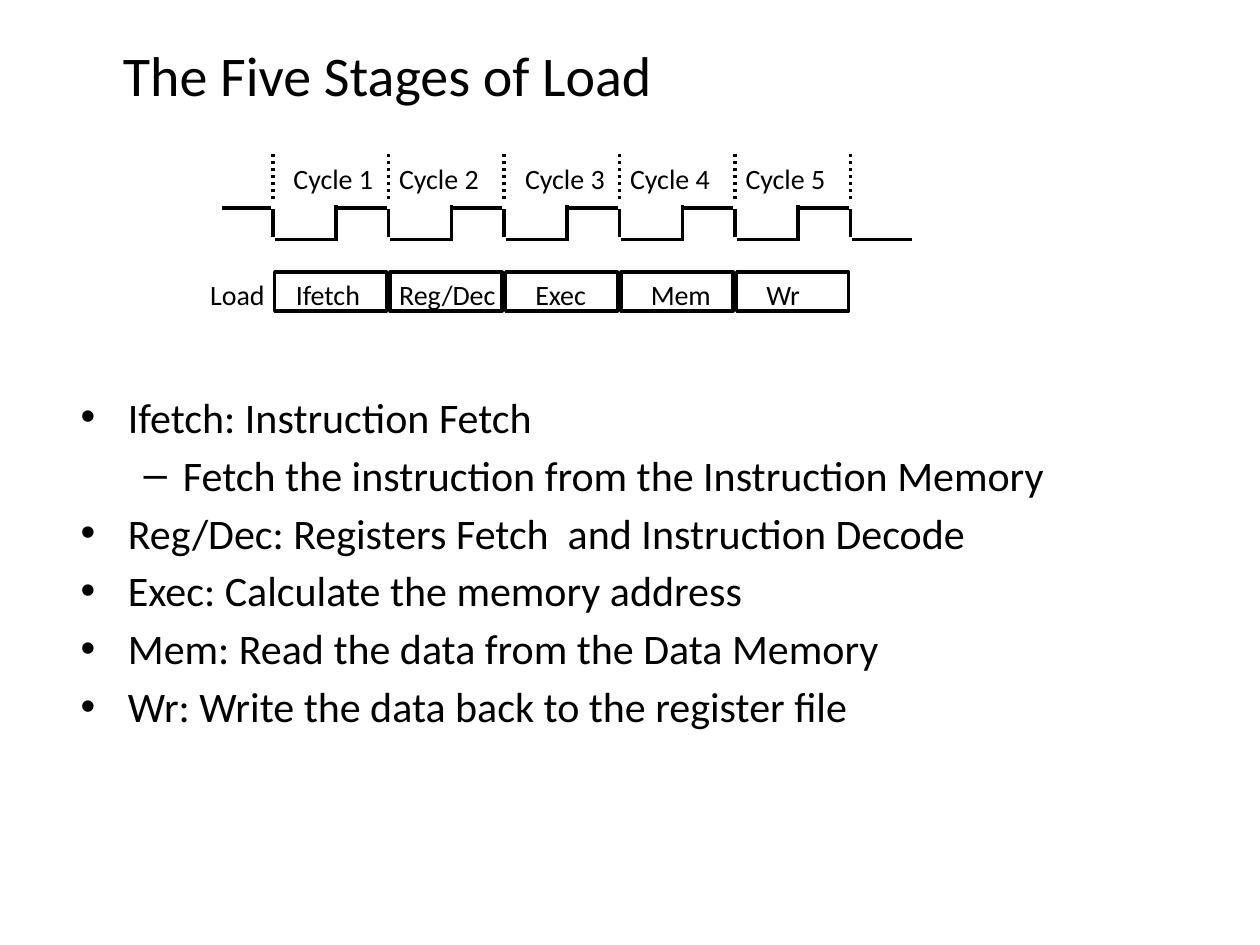
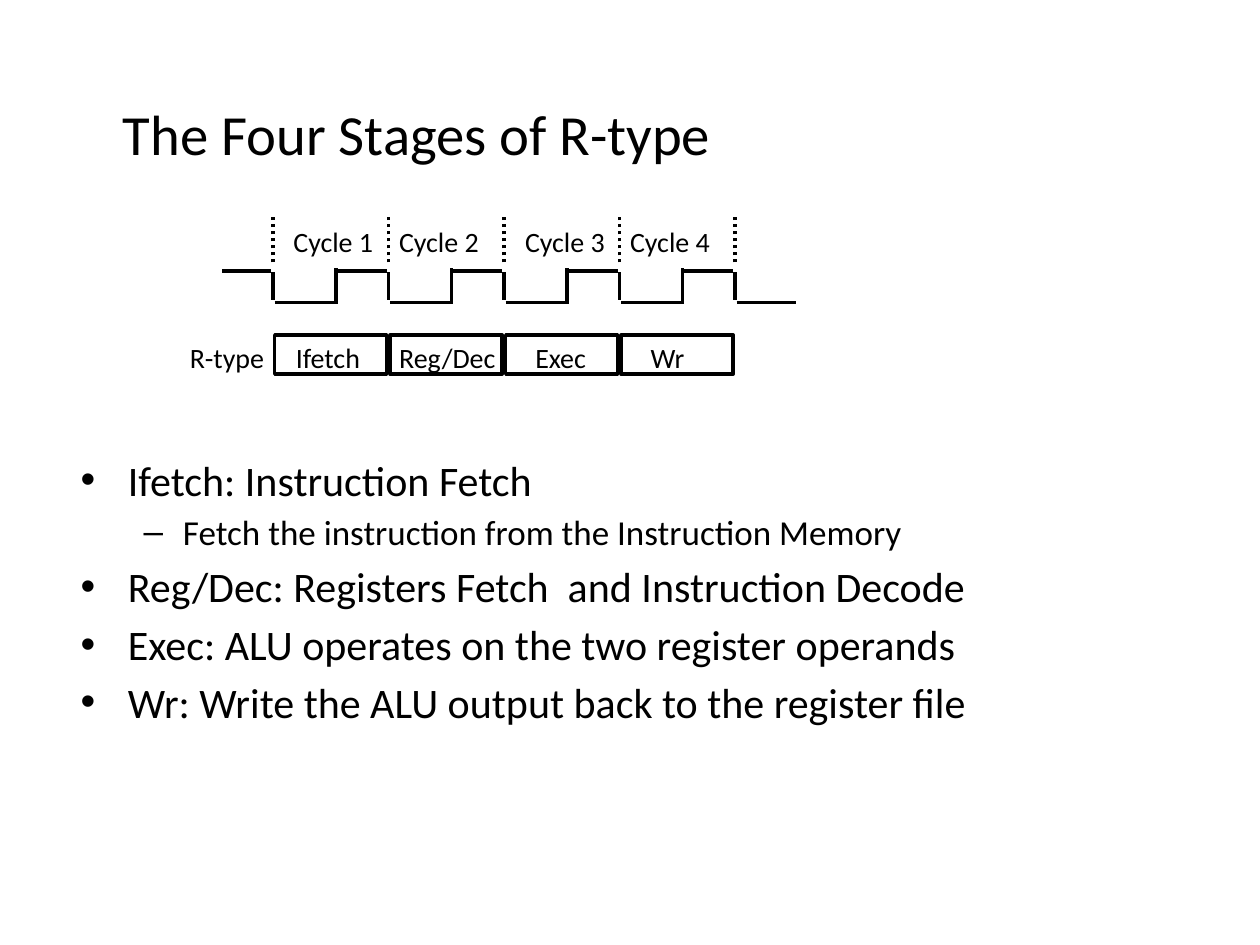
from lxml import etree
from pptx import Presentation
from pptx.dml.color import RGBColor
from pptx.enum.dml import MSO_LINE
from pptx.enum.shapes import MSO_CONNECTOR, MSO_SHAPE
from pptx.enum.text import MSO_ANCHOR, MSO_AUTO_SIZE, PP_ALIGN
from pptx.oxml.ns import qn
from pptx.util import Pt

STRAIGHT = MSO_CONNECTOR.STRAIGHT
RECT = MSO_SHAPE.RECTANGLE
DOTTED = MSO_LINE.ROUND_DOT
MIDDLE = MSO_ANCHOR.MIDDLE
JUSTIFY = PP_ALIGN.JUSTIFY
NO_FIT = MSO_AUTO_SIZE.NONE
FIT_SHAPE = MSO_AUTO_SIZE.SHAPE_TO_FIT_TEXT

FONT = "Calibri"
BLACK = "000000"
LINE_WIDTH = 2
LABEL_SIZE = 16

FIRST_EDGE = 156
PERIOD = 66
CYCLE_WIDTH = 60.5
CYCLE_SHIFTS = [4.6, -1, 5, -1, -1]
# Stage name: label offset from the clock edge, label width
STAGES = {
    "Ifetch": (6, 51.8),
    "Reg/Dec": (-1, 71.3),
    "Exec": (10.8, 43.9),
    "Mem": (10.8, 49.7),
    "Wr": (10.8, 33.8),
}
# Bullet level: character, left margin, hanging indent
BULLETS = [("•", 27, 27), ("–", 58.5, 22.5)]


def color(hex_string):
    return RGBColor.from_string(hex_string)


def add_run(p, text, size):
    r = p.add_run()
    r.text = text
    r.font.name = FONT
    r.font.size = Pt(size)
    r.font.color.rgb = color(BLACK)


def add_title(s, text, top, height, size):
    title = s.shapes.title
    title.left, title.top = Pt(63), Pt(top)
    title.width, title.height = Pt(621), Pt(height)
    tf = title.text_frame
    tf.auto_size = NO_FIT
    tf.vertical_anchor = MIDDLE
    p = tf.paragraphs[0]
    p.alignment = JUSTIFY
    add_run(p, text, size)


def add_label(s, text, x, y, width):
    box = s.shapes.add_textbox(Pt(x), Pt(y), Pt(width), Pt(26.6))
    tf = box.text_frame
    tf.word_wrap = False
    tf.auto_size = FIT_SHAPE
    add_run(tf.paragraphs[0], text, LABEL_SIZE)


def add_line(shapes, x1, y1, x2, y2, dash=None):
    line = shapes.add_connector(STRAIGHT, Pt(x1), Pt(y1), Pt(x2), Pt(y2))
    line.line.color.rgb = color(BLACK)
    line.line.width = Pt(LINE_WIDTH)
    if dash:
        line.line.dash_style = dash
    sp_pr = line._element.find(qn("p:spPr"))
    etree.SubElement(sp_pr, qn("a:effectLst"))


def add_stage_box(s, x, y):
    sp = s.shapes.add_shape(RECT, Pt(x), Pt(y), Pt(64), Pt(22.3))
    sp.shadow.inherit = False
    sp.fill.background()
    sp.line.color.rgb = color(BLACK)
    sp.line.width = Pt(LINE_WIDTH)


def add_fall(shapes, x, top):
    """Draw the falling clock edge and the low level after it."""
    add_line(shapes, x + 1, top + 48.8, x + 35, top + 48.8)
    add_line(shapes, x, top + 31.5, x, top + 47.4)


def add_high(shapes, x, top):
    """Draw the high level that ends the cycle starting at x."""
    add_line(shapes, x + 37, top + 30.8, x + 65, top + 30.8)


def add_clock(s, cycles, top):
    edges = [FIRST_EDGE + PERIOD * i for i in range(cycles + 1)]
    add_high(s.shapes, FIRST_EDGE - PERIOD, top)
    for x in edges[:-1]:
        shapes = s.shapes.add_group_shape().shapes
        add_fall(shapes, x, top)
        add_line(shapes, x + 36, top + 49.5, x + 36, top + 29.4)
        add_high(shapes, x, top)
    add_fall(s.shapes, edges[-1], top)
    for x in edges:
        add_line(s.shapes, x, top + 26, x, top, DOTTED)
    for i, x in enumerate(edges[:-1]):
        add_label(s, f"Cycle {i + 1}", x + CYCLE_SHIFTS[i], top + 0.6, CYCLE_WIDTH)


def add_pipeline(s, instruction, width, stages, top):
    """Draw the row of stage boxes with the instruction name before it."""
    for i, stage in enumerate(stages):
        x = FIRST_EDGE + PERIOD * i
        shift, label_width = STAGES[stage]
        add_stage_box(s, x + 1, top + 67.5)
        add_label(s, stage, x + shift, top + 66.8, label_width)
    add_label(s, instruction, 159 - width, top + 66.8, width)


def add_bullets(s, items, top, height):
    """Add a bulleted list; each item is (level, size, text)."""
    box = s.shapes.add_textbox(Pt(39), Pt(top), Pt(645), Pt(height))
    tf = box.text_frame
    tf.word_wrap = True
    for i, (level, size, text) in enumerate(items):
        p = tf.add_paragraph() if i else tf.paragraphs[0]
        p.level = level
        if i:
            p.space_before = Pt(round(size * 0.18, 1))
        char, margin, hanging = BULLETS[level]
        p_pr = p._p.get_or_add_pPr()
        p_pr.set("marL", str(Pt(margin)))
        p_pr.set("indent", str(-Pt(hanging)))
        etree.SubElement(p_pr, qn("a:buFont"), typeface="Arial")
        etree.SubElement(p_pr, qn("a:buChar"), char=char)
        add_run(p, text, size)


def main():
    prs = Presentation()
    prs.slide_width, prs.slide_height = Pt(720), Pt(540)
    title_only = prs.slide_layouts[5]

    s = prs.slides.add_slide(title_only)
    add_title(s, "The Five Stages of Load", 30, 25, 32)
    add_bullets(s, [
        (0, 24, "Ifetch: Instruction Fetch"),
        (1, 24, "Fetch the instruction from the Instruction Memory"),
        (0, 24, "Reg/Dec: Registers Fetch  and Instruction Decode"),
        (0, 24, "Exec: Calculate the memory address"),
        (0, 24, "Mem: Read the data from the Data Memory"),
        (0, 24, "Wr: Write the data back to the register file"),
    ], 220, 277)
    add_clock(s, 5, 88)
    add_pipeline(s, "Load", 46, ["Ifetch", "Reg/Dec", "Exec", "Mem", "Wr"], 88)

    s = prs.slides.add_slide(title_only)
    add_title(s, "The Four Stages of R-type", 66, 20, 32.4)
    add_bullets(s, [
        (0, 24, "Ifetch: Instruction Fetch"),
        (1, 20, "Fetch the instruction from the Instruction Memory"),
        (0, 24, "Reg/Dec: Registers Fetch  and Instruction Decode"),
        (0, 24, "Exec: ALU operates on the two register operands"),
        (0, 24, "Wr: Write the ALU output back to the register file"),
    ], 256, 169)
    add_clock(s, 4, 124)
    add_pipeline(s, "R-type", 57.6, ["Ifetch", "Reg/Dec", "Exec", "Wr"], 124)

    prs.save("out.pptx")


if __name__ == "__main__":
    main()
